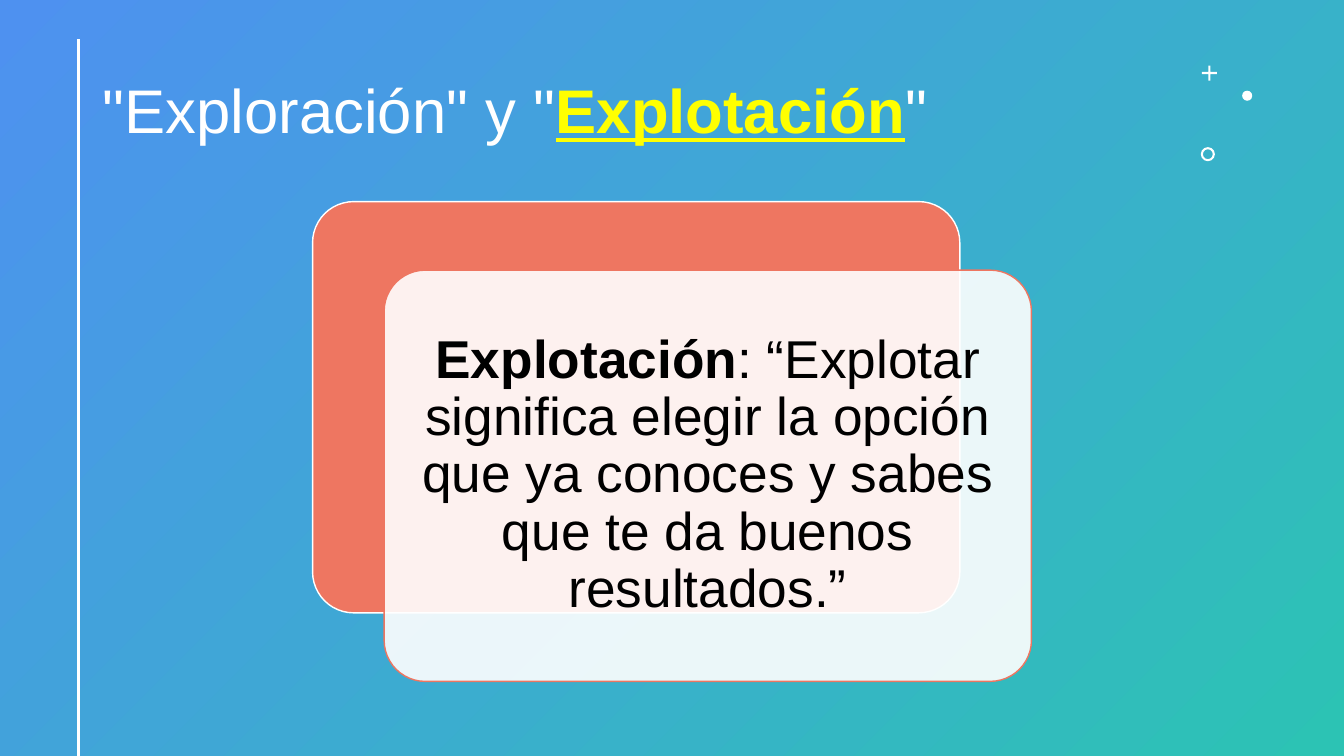
from pptx import Presentation
from pptx import util as u
from pptx.dml.color import RGBColor
from pptx.enum import shapes, text
from pptx.oxml import ns
from lxml import etree

WHITE = RGBColor(0xFF, 0xFF, 0xFF)
BLACK = RGBColor(0, 0, 0)
YELLOW = RGBColor(0xFF, 0xFF, 0)
CORAL = RGBColor(0xEE, 0x76, 0x61)
BLUE = RGBColor(0x4E, 0x91, 0xF0)
TEAL = RGBColor(0x2C, 0xC3, 0xB4)
KIND = shapes.MSO_SHAPE


def add_shape(slide, kind, box, fill=WHITE, line=None, adj=None):
    shape = slide.shapes.add_shape(kind, *map(u.Inches, box))
    shape.shadow.inherit = False
    shape.fill.solid()
    shape.fill.fore_color.rgb = fill
    if line is None:
        shape.line.fill.background()
    else:
        shape.line.color.rgb = line
        shape.line.width = u.Pt(1)
    if adj is not None:
        shape.adjustments[0] = adj
    return shape


def add_backdrop(slide, width, height):
    shape = add_shape(slide, KIND.RECTANGLE, (0, 0, width, height))
    shape.fill.gradient()
    shape.fill.gradient_angle = 315
    for stop, color in zip(shape.fill.gradient_stops, (BLUE, TEAL)):
        stop.color.rgb = color
    slide.shapes._spTree.insert(2, shape._element)


def add_rule(slide, left, top, bottom):
    ends = map(u.Inches, (left, top, left, bottom))
    rule = slide.shapes.add_connector(shapes.MSO_CONNECTOR.STRAIGHT, *ends)
    rule.line.color.rgb = WHITE
    rule.line.width = u.Pt(2)
    etree.SubElement(rule._element.spPr, ns.qn("a:effectLst"))


def set_alpha(shape, share):
    color = shape._element.spPr.find(ns.qn("a:solidFill"))[0]
    alpha = etree.SubElement(color, ns.qn("a:alpha"))
    alpha.set("val", str(share * 1000))


def write(shape, parts, size, align):
    frame = shape.text_frame
    frame.word_wrap = True
    frame.auto_size = text.MSO_AUTO_SIZE.NONE
    frame.vertical_anchor = text.MSO_ANCHOR.MIDDLE
    para = frame.paragraphs[0]
    para.alignment = align
    para.line_spacing = 0.9
    for words, color, bold, under in parts:
        run = para.add_run()
        run.text = words
        run.font.name = "Arial"
        run.font.size = u.Pt(size)
        run.font.color.rgb = color
        run.font.bold = bold
        run.font.underline = under


def set_title(slide):
    title = slide.shapes.title
    title.left, title.top = u.Inches(0.92), u.Inches(0.4)
    title.width, title.height = u.Inches(10.72), u.Inches(1.45)
    write(title, [
        ('"Exploración" y "', WHITE, False, False),
        ("Explotación", YELLOW, True, True),
        ('"', WHITE, False, False),
    ], 44, text.PP_ALIGN.LEFT)


def add_marks(slide):
    add_shape(slide, KIND.CROSS, (11.92, 0.65, 0.15, 0.15), adj=0.43)
    add_shape(slide, KIND.OVAL, (12.32, 0.9, 0.1, 0.1))
    add_shape(slide, KIND.DONUT, (11.91, 1.46, 0.14, 0.14), adj=0.15)


def add_cards(slide):
    wide, high = 6.42, 4.08
    kind = KIND.ROUNDED_RECTANGLE
    add_shape(slide, kind, (3.1, 2, wide, high), CORAL, WHITE, 0.1)
    card = add_shape(slide, kind, (3.81, 2.68, wide, high), WHITE, CORAL, 0.1)
    set_alpha(card, 90)
    frame = card.text_frame
    frame.margin_left = frame.margin_right = u.Inches(0.16)
    frame.margin_top = frame.margin_bottom = u.Inches(0.16)
    write(card, [
        ("Explotación", BLACK, True, False),
        (": “Explotar significa elegir la opción que ya conoces y sabes "
         "que te da buenos resultados.”", BLACK, False, False),
    ], 38, text.PP_ALIGN.CENTER)


def main():
    deck = Presentation()
    width, height = 13.33, 7.5
    deck.slide_width = u.Inches(width)
    deck.slide_height = u.Inches(height)
    slide = deck.slides.add_slide(deck.slide_layouts[5])
    add_backdrop(slide, width, height)
    set_title(slide)
    add_rule(slide, 0.78, 0.39, height)
    add_marks(slide)
    add_cards(slide)
    deck.save("out.pptx")


if __name__ == "__main__":
    main()
